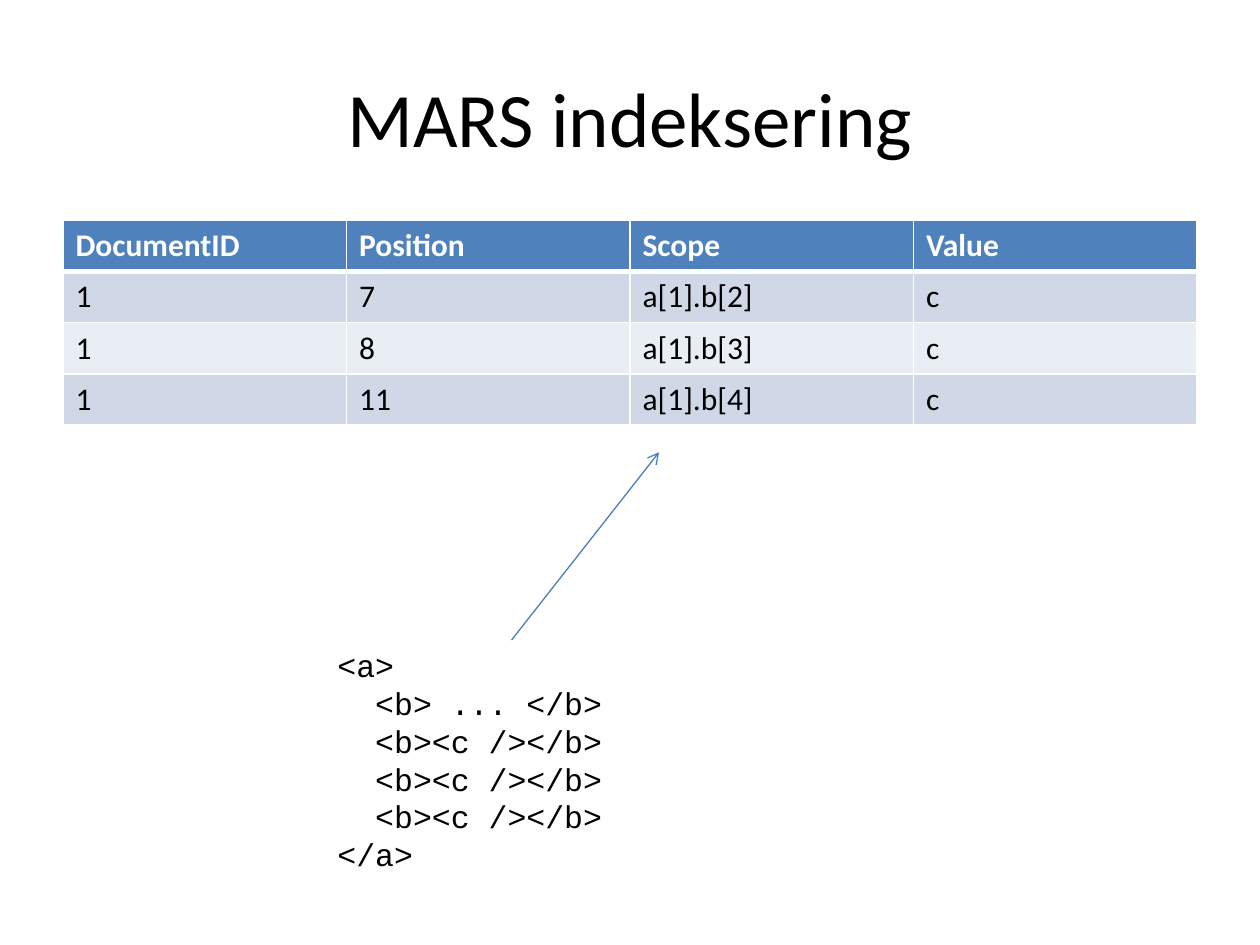
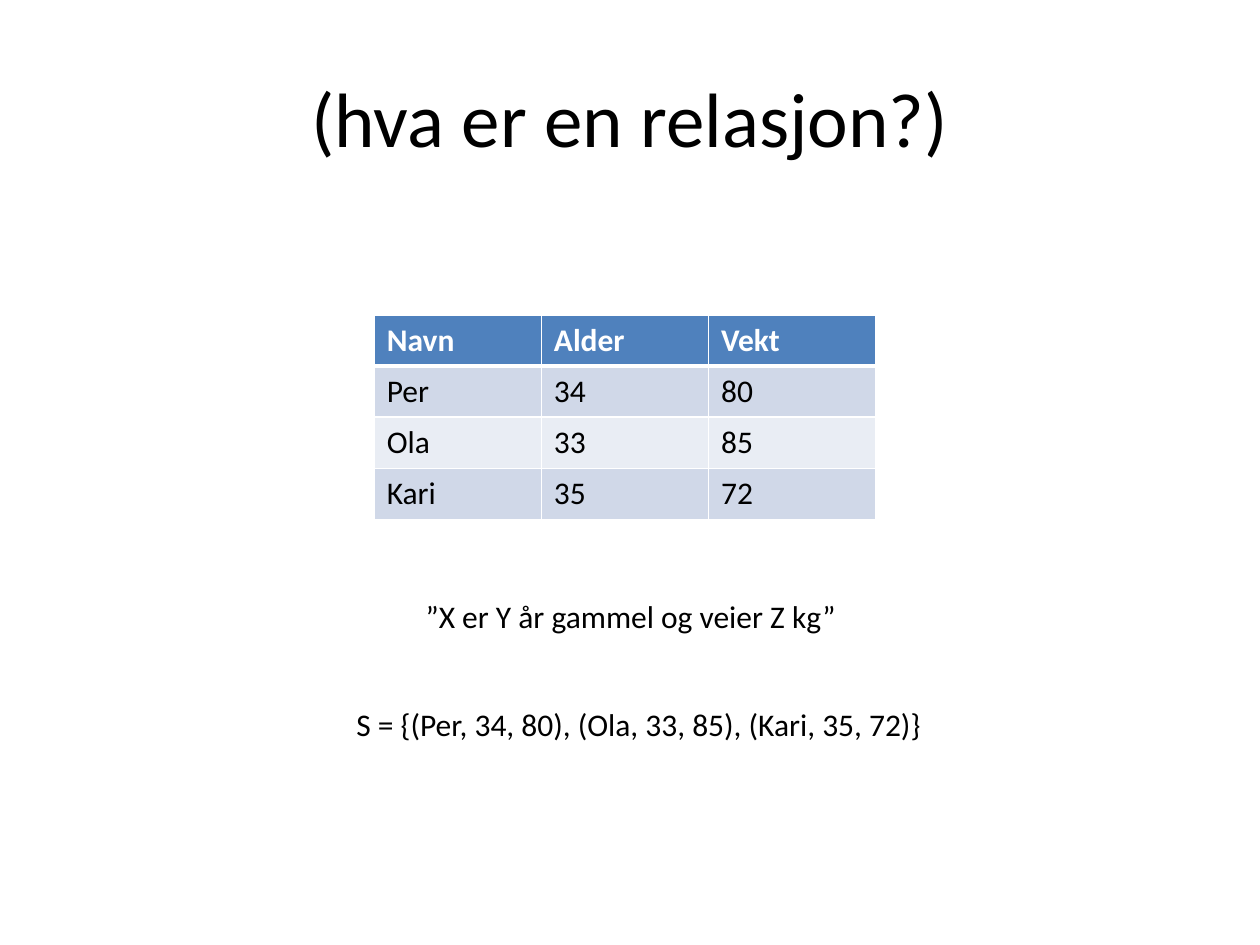
import pptx
import pptx.util
import pptx.dml.color
import pptx.enum.shapes
import pptx.enum.text
import pptx.oxml.ns
import lxml.etree

RGBColor = pptx.dml.color.RGBColor
Align = pptx.enum.text.PP_ALIGN
Anchor = pptx.enum.text.MSO_ANCHOR
AutoSize = pptx.enum.text.MSO_AUTO_SIZE

WHITE = RGBColor(0xFF, 0xFF, 0xFF)
BLACK = RGBColor(0x00, 0x00, 0x00)
HEADER_BLUE = RGBColor(0x4F, 0x81, 0xBD)
ARROW_BLUE = RGBColor(0x4B, 0x7E, 0xBC)
BANDS = (RGBColor(0xD0, 0xD8, 0xE8), RGBColor(0xE9, 0xED, 0xF4))

COLUMNS, ROWS = 20, 15
TABLE_ROW = 0.81
CODE_INDENT = pptx.util.Pt(21.6)


def add_element(parent, tag, **attributes):
    return lxml.etree.SubElement(parent, pptx.oxml.ns.qn(tag), attributes)


class Slides:
    body_font = "Calibri"
    code_font = "Courier New"
    title_size = 44
    body_size = 18

    def __init__(self):
        self.deck = pptx.Presentation()
        self.deck.slide_width = pptx.util.Inches(10)
        self.deck.slide_height = pptx.util.Inches(7.5)
        self.page = None

    def x(self, columns):
        return round(self.deck.slide_width * columns / COLUMNS)

    def y(self, rows):
        return round(self.deck.slide_height * rows / ROWS)

    def place(self, left, top, width, height):
        return self.x(left), self.y(top), self.x(width), self.y(height)

    def add_span(self, para, text, font=body_font, size=body_size, color=BLACK, bold=False):
        span = para.add_run()
        span.text = text
        span.font.name = font
        span.font.size = pptx.util.Pt(size)
        span.font.color.rgb = color
        span.font.bold = bold

    def text_box(self, area, wrap=True, fit=True):
        box = self.page.shapes.add_textbox(*self.place(*area))
        frame = box.text_frame
        frame.word_wrap = wrap
        frame.auto_size = AutoSize.SHAPE_TO_FIT_TEXT if fit else AutoSize.NONE
        return frame

    def start(self, title):
        self.page = self.deck.slides.add_slide(self.deck.slide_layouts[6])
        frame = self.text_box((1, 0.6, 18, 2.5), fit=False)
        frame.vertical_anchor = Anchor.MIDDLE
        para = frame.paragraphs[0]
        para.alignment = Align.CENTER
        self.add_span(para, title, size=self.title_size)

    def caption(self, area, text):
        self.add_span(self.text_box(area, wrap=False).paragraphs[0], text)

    def code(self, area, lines):
        frame = self.text_box(area)
        for index, (level, text) in enumerate(lines):
            para = frame.add_paragraph() if index else frame.paragraphs[0]
            if level:
                para._p.get_or_add_pPr().set("marL", str(level * CODE_INDENT))
            self.add_span(para, text, font=self.code_font)

    def borders(self, cell, **widths):
        properties = cell._tc.get_or_add_tcPr()
        for side in "LRTB":
            width = pptx.util.Pt(widths.get(side, 1))
            line = add_element(properties, f"a:ln{side}", w=str(width))
            fill = add_element(line, "a:solidFill")
            add_element(fill, "a:srgbClr", val=str(WHITE))

    def table(self, left, top, width, records):
        area = self.place(left, top, width, TABLE_ROW * len(records))
        table = self.page.shapes.add_table(len(records), len(records[0]), *area).table
        for row, record in enumerate(records):
            header = row == 0
            for column, text in enumerate(record):
                cell = table.cell(row, column)
                self.borders(cell, T=3 if row == 1 else 1, B=3 if header else 1)
                cell.fill.solid()
                cell.fill.fore_color.rgb = HEADER_BLUE if header else BANDS[(row - 1) % 2]
                self.add_span(cell.text_frame.paragraphs[0], text,
                              color=WHITE if header else BLACK, bold=header)

    def arrow(self, start, end):
        line = self.page.shapes.add_connector(
            pptx.enum.shapes.MSO_CONNECTOR.STRAIGHT,
            self.x(start[0]), self.y(start[1]), self.x(end[0]), self.y(end[1]))
        line.line.color.rgb = ARROW_BLUE
        line.line.width = pptx.util.Pt(0.75)
        add_element(line.line._get_or_add_ln(), "a:tailEnd", type="arrow")
        add_element(line._element.spPr, "a:effectLst")


slides = Slides()

slides.start("MARS indeksering")
slides.table(1, 3.5, 18, [
    ("DocumentID", "Position", "Scope", "Value"),
    ("1", "7", "a[1].b[2]", "c"),
    ("1", "8", "a[1].b[3]", "c"),
    ("1", "11", "a[1].b[4]", "c"),
])
slides.code((5.16, 10.16, 5.94, 3.84), [
    (0, "<a>"),
    (1, "<b> ... </b>"),
    *[(1, "<b><c /></b>")] * 3,
    (0, "</a>"),
])
slides.arrow((8.12, 10.16), (10.46, 7.18))

slides.start("(hva er en relasjon?)")
people = [("Per", "34", "80"), ("Ola", "33", "85"), ("Kari", "35", "72")]
slides.table(5.94, 5, 7.96, [("Navn", "Alder", "Vekt"), *people])
slides.caption((6.56, 9.38, 6.96, 0.8), "”X er Y år gammel og veier Z kg”")
tuples = ", ".join(f"({', '.join(person)})" for person in people)
slides.caption((5.46, 11.1, 9.48, 0.8), f"S = {{{tuples}}}")

slides.deck.save("out.pptx")
